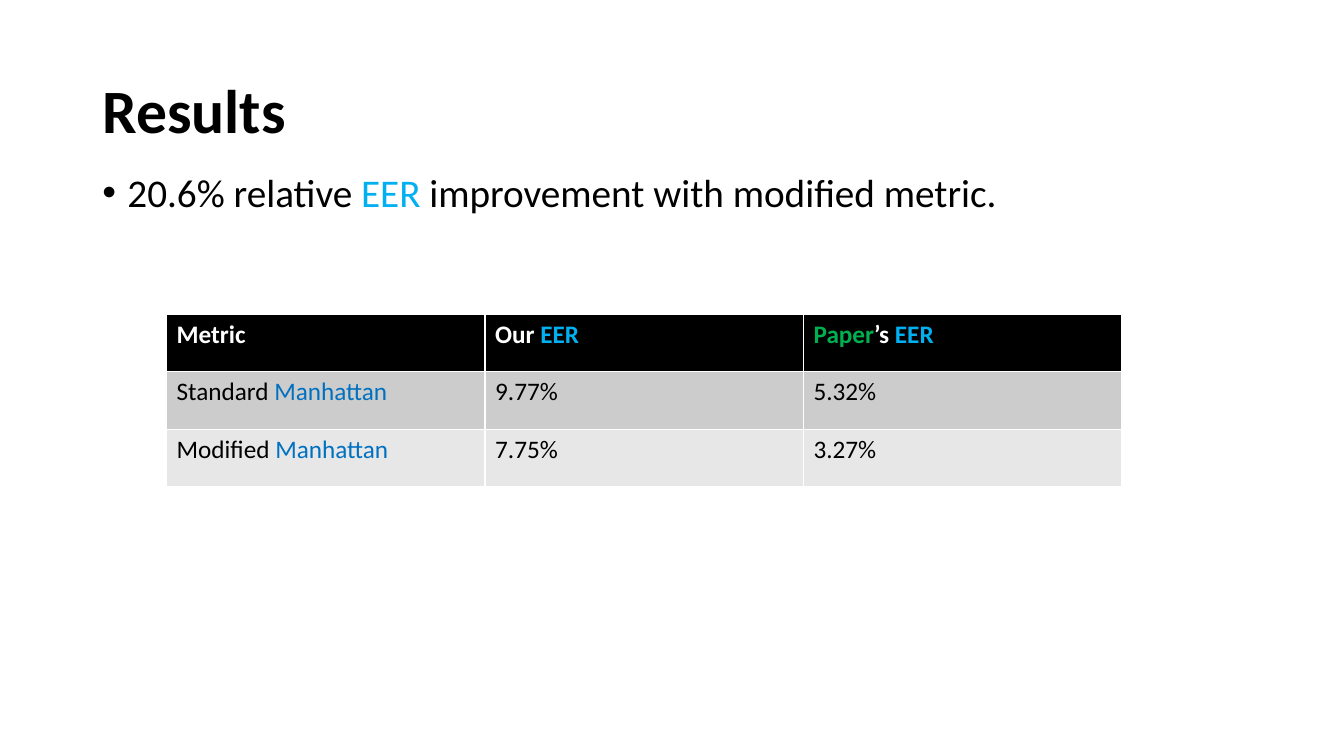
import pptx
import pptx.util
import pptx.dml.color
import pptx.enum.text
from lxml import etree

Pt = pptx.util.Pt
FONT = "Calibri"
COLORS = {
    "black": "000000",
    "white": "FFFFFF",
    "sky": "00B0F0",
    "green": "00B050",
    "blue": "0070C0",
    "dark_band": "CCCCCC",
    "light_band": "E7E7E7",
}
METRICS = [
    ["Metric", ["Our ", ("EER", "sky")], [("Paper", "green"), "’s ", ("EER", "sky")]],
    [["Standard ", ("Manhattan", "blue")], "9.77%", "5.32%"],
    [["Modified ", ("Manhattan", "blue")], "7.75%", "3.27%"],
]


def rgb(name):
    """Return the named palette colour."""
    return pptx.dml.color.RGBColor.from_string(COLORS[name])


def write(p, text, size=18, color="black", bold=False):
    """Write a string, or a list of strings and (string, colour) pairs, as runs."""
    for part in [text] if isinstance(text, str) else text:
        words, shade = (part, color) if isinstance(part, str) else part
        r = p.add_run()
        r.text = words
        r.font.name = FONT
        r.font.size = Pt(size)
        r.font.bold = bold
        r.font.color.rgb = rgb(shade)


def place(sp, x, y, w, h):
    """Set the box of a shape in points."""
    sp.left, sp.top, sp.width, sp.height = Pt(x), Pt(y), Pt(w), Pt(h)


def add_title(s, x, y, w, h, text):
    """Fill the title placeholder."""
    sp = s.shapes.title
    place(sp, x, y, w, h)
    tf = sp.text_frame
    tf.auto_size = pptx.enum.text.MSO_AUTO_SIZE.NONE
    tf.vertical_anchor = pptx.enum.text.MSO_ANCHOR.MIDDLE
    p = tf.paragraphs[0]
    p.alignment = pptx.enum.text.PP_ALIGN.LEFT
    p.line_spacing = 0.9
    write(p, text, size=44, bold=True)


def add_bullet(s, x, y, w, h, text):
    """Add a text box with one bulleted line."""
    tf = s.shapes.add_textbox(Pt(x), Pt(y), Pt(w), Pt(h)).text_frame
    tf.word_wrap = True
    p = tf.paragraphs[0]
    p.line_spacing = 0.9
    pPr = p._p.get_or_add_pPr()
    pPr.set("marL", str(Pt(18)))
    pPr.set("indent", str(-Pt(18)))
    ns = pptx.oxml.ns.qn
    etree.SubElement(pPr, ns("a:buFont")).set("typeface", "Arial")
    etree.SubElement(pPr, ns("a:buChar")).set("char", "•")
    write(p, text, size=28)


def add_metrics(s, x, y, w, h, rows):
    """Add the table of error rates with a black header and grey bands."""
    table = s.shapes.add_table(len(rows), len(rows[0]), Pt(x), Pt(y), Pt(w), Pt(h)).table
    fills = ["black", "dark_band", "light_band"]
    for i, (row, fill) in enumerate(zip(rows, fills)):
        header = i == 0
        for j, text in enumerate(row):
            cell = table.cell(i, j)
            cell.fill.solid()
            cell.fill.fore_color.rgb = rgb(fill)
            write(cell.text_frame.paragraphs[0], text,
                  color="white" if header else "black", bold=header)


def main():
    """Build and save the results slide."""
    prs = pptx.Presentation()
    prs.slide_width, prs.slide_height = Pt(960), Pt(540)
    s = prs.slides.add_slide(prs.slide_layouts[5])
    add_title(s, 66, 28.75, 828, 104.4, "Results")
    add_bullet(s, 66, 120.25, 828, 342.7,
               ["20.6% relative ", ("EER", "sky"), " improvement with modified metric."])
    add_metrics(s, 119, 224.75, 682.5, 122.7, METRICS)
    prs.save("out.pptx")


if __name__ == "__main__":
    main()
